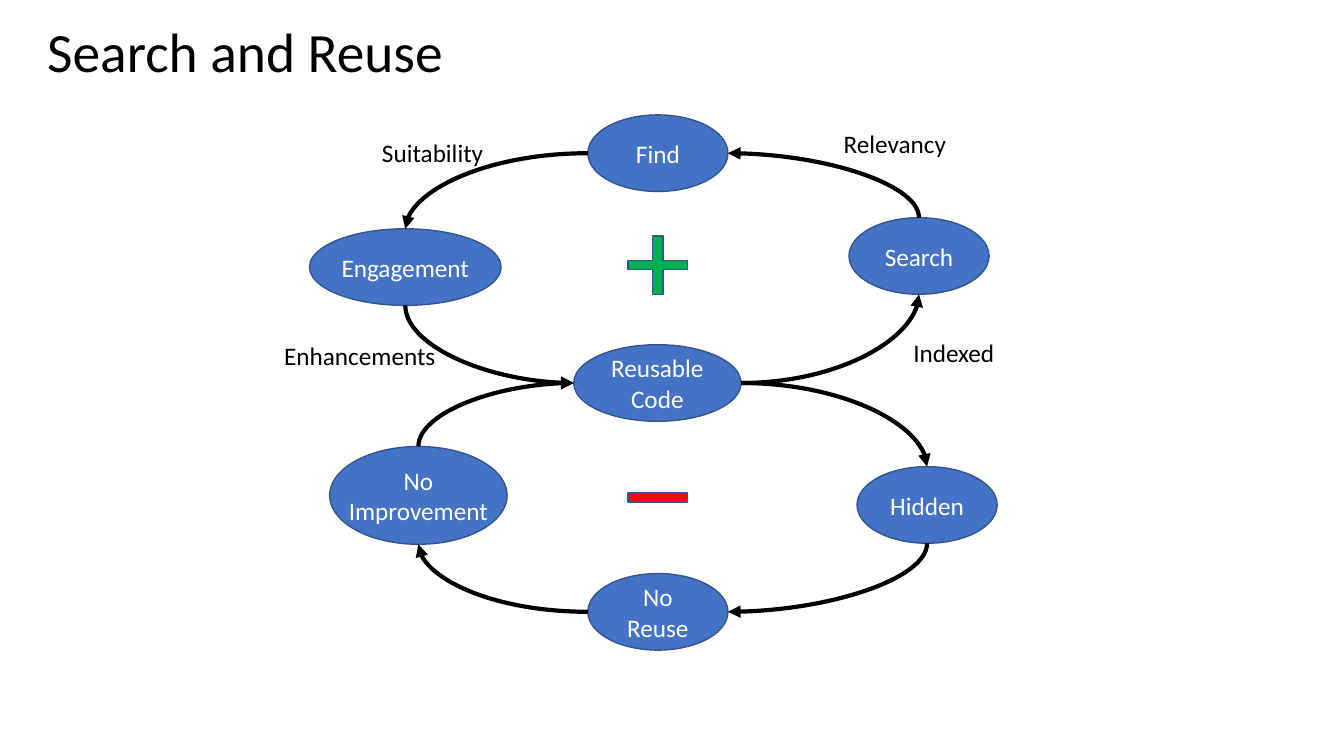
from lxml.etree import SubElement
from pptx import Presentation
from pptx.dml.color import RGBColor
from pptx.enum.shapes import MSO_CONNECTOR, MSO_SHAPE
from pptx.enum.text import MSO_ANCHOR, MSO_AUTO_SIZE, PP_ALIGN
from pptx.oxml.ns import qn
from pptx.util import Inches, Pt

HUES = {"node": "4472C4", "edge": "325491", "plus": "00B050", "minus": "FF0000",
        "ink": "000000", "pale": "FFFFFF"}

# Name: text, left, top, width, height, wrap (relative to the diagram)
NODES = {
    "code": ("Reusable\nCode", 2.97, 2.28, 1.66, 0.76, True),
    "search": ("Search", 5.7, 1.02, 1.39, 0.76, True),
    "find": ("Find", 3.11, 0, 1.39, 0.76, True),
    "engage": ("Engagement", 0.35, 1.13, 1.9, 0.76, False),
    "hidden": ("Hidden", 5.78, 3.49, 1.39, 0.76, True),
    "unused": ("No Reuse", 3.11, 4.55, 1.39, 0.76, True),
    "stale": ("No\vImprovement", 0.55, 3.29, 1.76, 0.97, False),
}
# From node, side, to node, side
LINKS = [
    ("code", "right", "search", "bottom"), ("search", "top", "find", "right"),
    ("find", "left", "engage", "top"), ("engage", "bottom", "code", "left"),
    ("code", "right", "hidden", "top"), ("hidden", "bottom", "unused", "right"),
    ("unused", "left", "stale", "bottom"), ("stale", "top", "code", "left"),
]
LABELS = [("Indexed", 6.24, 2.16, 1.02), ("Relevancy", 5.55, 0.08, 1.24),
          ("Suitability", 0.97, 0.17, 1.22), ("Enhancements", 0, 2.19, 1.72)]
SIGNS = [(MSO_SHAPE.CROSS, "plus", 3.51, 1.2, 0.58),
         (MSO_SHAPE.RECTANGLE, "minus", 3.51, 3.75, 0.09)]
# Side: ellipse site, share of width, share of height
SIDES = {"top": (0, 0.5, 0), "left": (2, 0, 0.5),
         "bottom": (4, 0.5, 1), "right": (6, 1, 0.5)}


def rgb(hue):
    return RGBColor.from_string(HUES[hue])


def apply(item, form):
    for name, value in form.items():
        setattr(item, name, value)


def write(shape, text, size, hue, frame, para):
    body = shape.text_frame
    body.text = text
    apply(body, frame)
    for line in body.paragraphs:
        apply(line, para)
        for run in line.runs:
            apply(run.font, {"name": "Calibri", "size": Pt(size)})
            run.font.color.rgb = rgb(hue)


def add_form(slide, kind, box, hue):
    shape = slide.shapes.add_shape(kind, *map(Inches, box))
    shape.shadow.inherit = False
    shape.fill.solid()
    shape.fill.fore_color.rgb = rgb(hue)
    shape.line.color.rgb = rgb("edge")
    shape.line.width = Pt(1)
    return shape


def add_text(slide, box, text, size, frame, para):
    shape = slide.shapes.add_textbox(*map(Inches, box))
    write(shape, text, size, "ink", frame, para)


def site(shape, side):
    _, across, down = SIDES[side]
    return shape.left + shape.width * across, shape.top + shape.height * down


def add_link(slide, first, start, last, end):
    (x1, y1), (x2, y2) = site(first, start), site(last, end)
    wide, high = x2 - x1, y2 - y1
    # An arc that leaves upright is a level one turned by 90 degrees
    turned = start in ("top", "bottom")
    if turned:
        wide, high = high, -wide
    mid_x, mid_y = (x1 + x2) / 2, (y1 + y2) / 2
    ends = (mid_x - wide / 2, mid_y - high / 2, mid_x + wide / 2, mid_y + high / 2)
    link = slide.shapes.add_connector(MSO_CONNECTOR.CURVE, *map(int, ends))
    link.line.color.rgb = rgb("ink")
    link.line.width = Pt(3)

    # Arc form, arrowhead and ties to the nodes
    props = link._element.spPr
    props.find(qn("a:prstGeom")).set("prst", "curvedConnector2")
    if turned:
        props.find(qn("a:xfrm")).set("rot", "5400000")
    SubElement(props.find(qn("a:ln")), qn("a:tailEnd"), type="triangle")
    SubElement(props, qn("a:effectLst"))
    ties = link._element.find(".//" + qn("p:cNvCxnSpPr"))
    for tag, node, side in (("a:stCxn", first, start), ("a:endCxn", last, end)):
        SubElement(ties, qn(tag), id=str(node.shape_id), idx=str(SIDES[side][0]))


def add_title(slide, box):
    add_text(slide, box, "Search and Reuse", 39.6,
             {"word_wrap": True, "vertical_anchor": MSO_ANCHOR.MIDDLE},
             {"line_spacing": 0.9})


def add_loops(slide, left, top):
    # Nodes
    nodes = {}
    for name, (text, x, y, wide, high, wrap) in NODES.items():
        node = add_form(slide, MSO_SHAPE.OVAL, (left + x, top + y, wide, high), "node")
        write(node, text, 18, "pale",
              {"word_wrap": wrap, "vertical_anchor": MSO_ANCHOR.MIDDLE},
              {"alignment": PP_ALIGN.CENTER})
        nodes[name] = node

    # Plus and minus signs
    for kind, hue, x, y, high in SIGNS:
        sign = add_form(slide, kind, (left + x, top + y, 0.59, high), hue)
        if hue == "plus":
            sign.adjustments[0] = 0.42

    # Arrows
    for first, start, last, end in LINKS:
        add_link(slide, nodes[first], start, nodes[last], end)

    # Arrow labels
    for text, x, y, wide in LABELS:
        add_text(slide, (left + x, top + y, wide, 0.4), text, 18,
                 {"word_wrap": False, "auto_size": MSO_AUTO_SIZE.SHAPE_TO_FIT_TEXT}, {})


def main():
    deck = Presentation()
    apply(deck, {"slide_width": Inches(13.33), "slide_height": Inches(7.5)})
    slide = deck.slides.add_slide(deck.slide_layouts[6])
    add_title(slide, (0.37, 0.25, 11.5, 0.59))
    add_loops(slide, 2.72, 1.14)
    deck.save("out.pptx")


if __name__ == "__main__":
    main()
